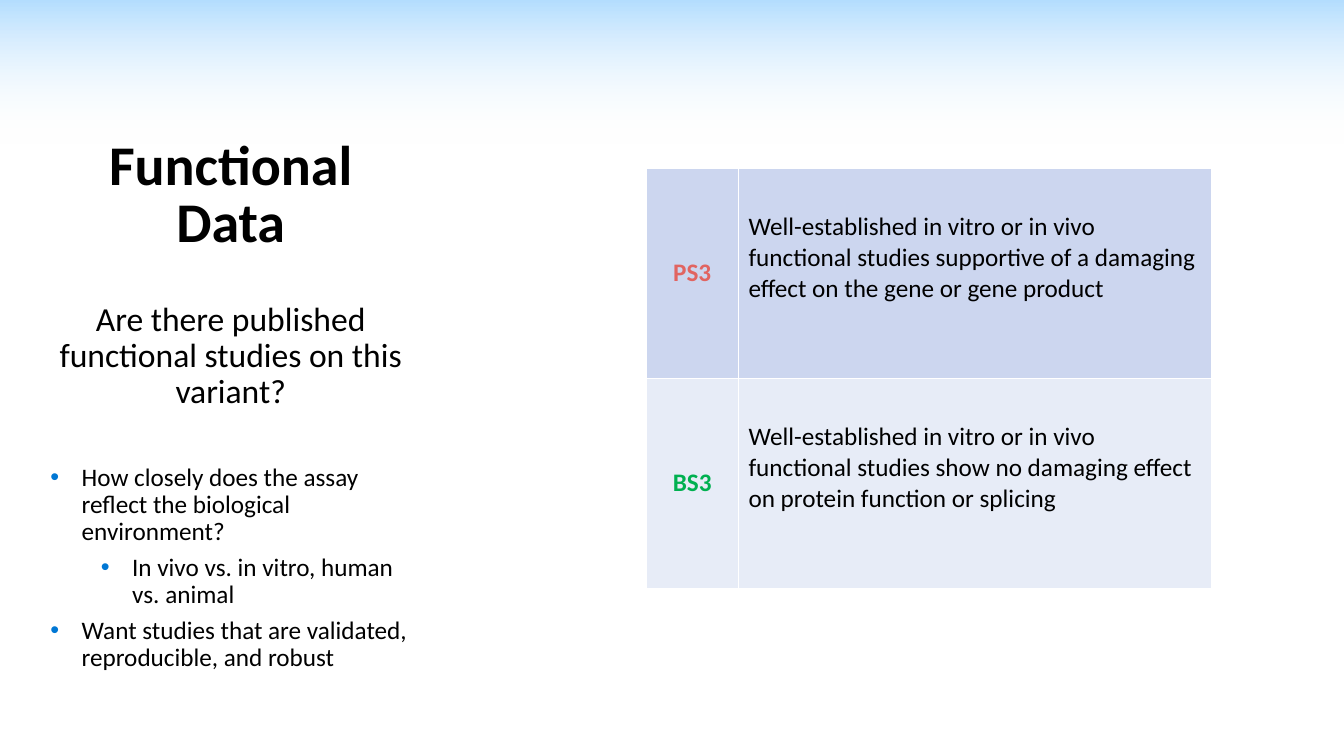
from lxml.etree import SubElement
from pptx import Presentation
from pptx.dml.color import RGBColor
from pptx.enum.shapes import MSO_SHAPE
from pptx.enum.text import MSO_ANCHOR, PP_ALIGN
from pptx.oxml.ns import qn
from pptx.util import Cm, Pt

BLACK = RGBColor(0x00, 0x00, 0x00)
WHITE = RGBColor(0xFF, 0xFF, 0xFF)
SKY = RGBColor(0xB4, 0xDE, 0xFF)
BULLET_BLUE = RGBColor(0x00, 0x77, 0xD4)
CORAL = RGBColor(0xE1, 0x64, 0x61)
GREEN = RGBColor(0x00, 0xB0, 0x50)
BAND_DARK = RGBColor(0xCC, 0xD6, 0xEF)
BAND_LIGHT = RGBColor(0xE7, 0xEC, 0xF7)

QUESTION = "Are there published functional studies on this variant?"
POINTS = [
    (0, "How closely does the assay reflect the biological environment?"),
    (1, "In vivo vs. in vitro, human vs. animal"),
    (0, "Want studies that are validated, reproducible, and robust"),
]
CRITERIA = [
    ("PS3", CORAL, BAND_DARK,
     "Well-established in vitro or in vivo functional studies supportive of "
     "a damaging effect on the gene or gene product"),
    ("BS3", GREEN, BAND_LIGHT,
     "Well-established in vitro or in vivo functional studies show no "
     "damaging effect on protein function or splicing"),
]


def add_bullet(para, level):
    """Give a paragraph a blue bullet and the hanging indent of its level."""
    para.level = level
    properties = para._p.get_or_add_pPr()
    hanging = Cm(0.79)
    properties.set("marL", str(hanging + level * Cm(1.27)))
    properties.set("indent", str(-hanging))
    color = SubElement(properties, qn("a:buClr"))
    SubElement(color, qn("a:srgbClr"), val=str(BULLET_BLUE))
    SubElement(properties, qn("a:buFont"), typeface="Arial")
    SubElement(properties, qn("a:buChar"), char="•")


def write(frame, text, size=18, color=BLACK, bold=False, align=PP_ALIGN.LEFT,
          spacing=None, before=None, bullet_level=None):
    """Write one formatted paragraph, reusing the empty first one."""
    first = frame.paragraphs[0]
    para = frame.add_paragraph() if first.runs else first
    para.alignment = align
    if spacing is not None:
        para.line_spacing = spacing
    if before is not None:
        para.space_before = Pt(before)
    if bullet_level is not None:
        add_bullet(para, bullet_level)
    span = para.add_run()
    span.text = text
    span.font.name = "Calibri"
    span.font.size = Pt(size)
    span.font.bold = bold
    span.font.color.rgb = color


def add_frame(page, left, top, width, height, anchor=MSO_ANCHOR.TOP):
    """Add a wrapping text box without margins and return its frame."""
    frame = page.shapes.add_textbox(left, top, width, height).text_frame
    frame.word_wrap = True
    frame.vertical_anchor = anchor
    frame.margin_left = frame.margin_right = 0
    frame.margin_top = frame.margin_bottom = 0
    return frame


def add_sky_band(page, left, top, width, height):
    """Draw the band that fades from sky blue to clear white."""
    band = page.shapes.add_shape(MSO_SHAPE.RECTANGLE, left, top, width, height)
    band.shadow.inherit = False
    band.line.fill.background()
    band.fill.gradient()
    band.fill.gradient_angle = 270
    for stop, color in zip(band.fill.gradient_stops, (SKY, WHITE)):
        stop.color.rgb = color
    end_color = band._element.spPr.findall(".//" + qn("a:srgbClr"))[-1]
    SubElement(end_color, qn("a:alpha"), val="0")


def add_question_column(page, left, top, width, height):
    """Place the title above the question and its bullet points."""
    title_height = Cm(5.33)
    body_top = Cm(6.55)
    title = add_frame(page, left, top, width, title_height, MSO_ANCHOR.BOTTOM)
    write(title, "Functional Data", size=40, bold=True,
          align=PP_ALIGN.CENTER, spacing=0.85)
    body = add_frame(page, left, top + body_top, width, height - body_top)
    write(body, QUESTION, size=24, align=PP_ALIGN.CENTER, spacing=0.9)
    for number, (level, text) in enumerate(POINTS):
        write(body, text, spacing=0.9, before=6 if number else 38,
              bullet_level=level)


def add_criteria_table(page, left, top, width, height):
    """Place the table of evidence codes and their criteria."""
    table = page.shapes.add_table(
        len(CRITERIA), 2, left, top, width, height).table
    table.first_row = False
    table.horz_banding = False
    code_width = Cm(2.33)
    table.columns[0].width = code_width
    table.columns[1].width = width - code_width
    for row, (code, color, band, criterion) in enumerate(CRITERIA):
        code_cell, text_cell = table.cell(row, 0), table.cell(row, 1)
        for cell in (code_cell, text_cell):
            cell.fill.solid()
            cell.fill.fore_color.rgb = band
            cell.vertical_anchor = MSO_ANCHOR.MIDDLE
        text_cell.margin_bottom = Cm(0.91)
        write(code_cell.text_frame, code, color=color, bold=True,
              align=PP_ALIGN.CENTER)
        write(text_cell.text_frame, criterion)


def main():
    """Build the slide and save the deck."""
    deck = Presentation()
    deck.slide_width, deck.slide_height = Cm(33.87), Cm(19.05)
    page = deck.slides.add_slide(deck.slide_layouts[6])
    add_sky_band(page, 0, 0, deck.slide_width, Cm(3.63))
    add_question_column(page, Cm(1.27), Cm(1.07), Cm(9.09), Cm(16.51))
    add_criteria_table(page, Cm(16.28), Cm(4.24), Cm(14.25), Cm(10.58))
    deck.save("out.pptx")


if __name__ == "__main__":
    main()
